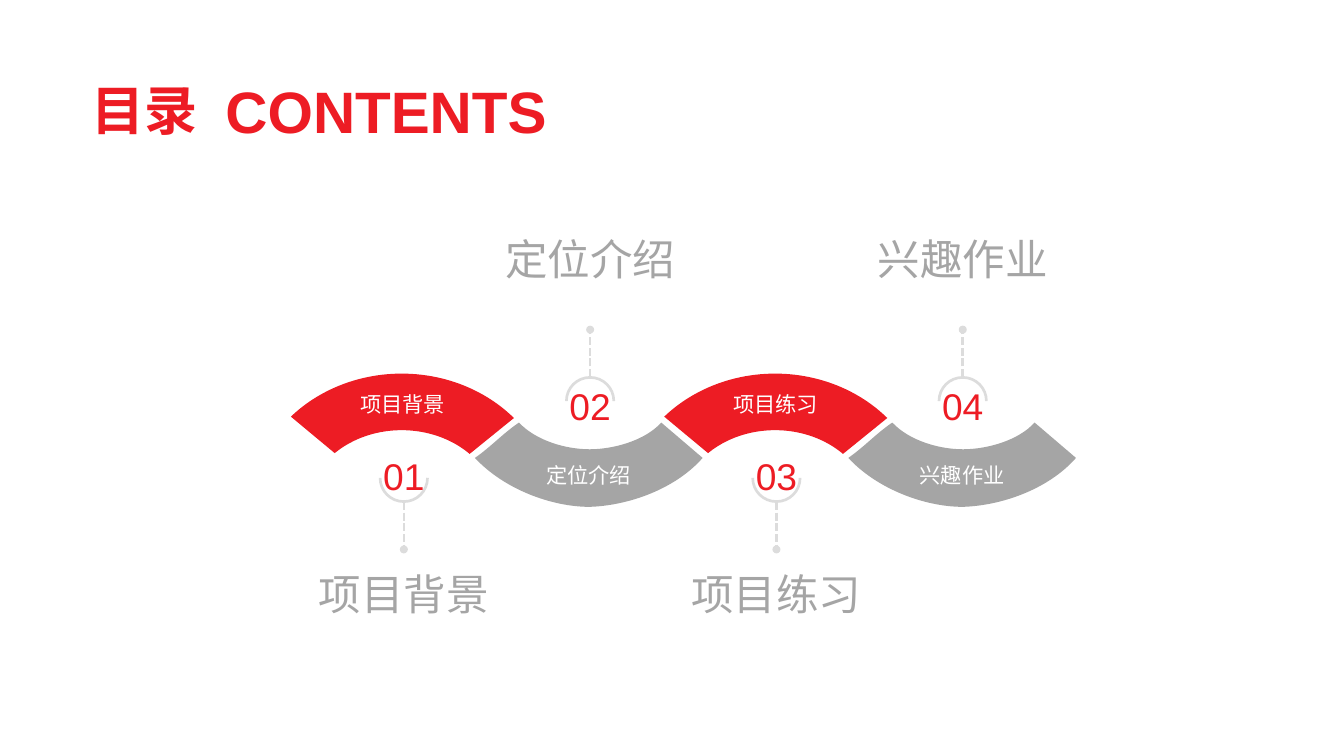
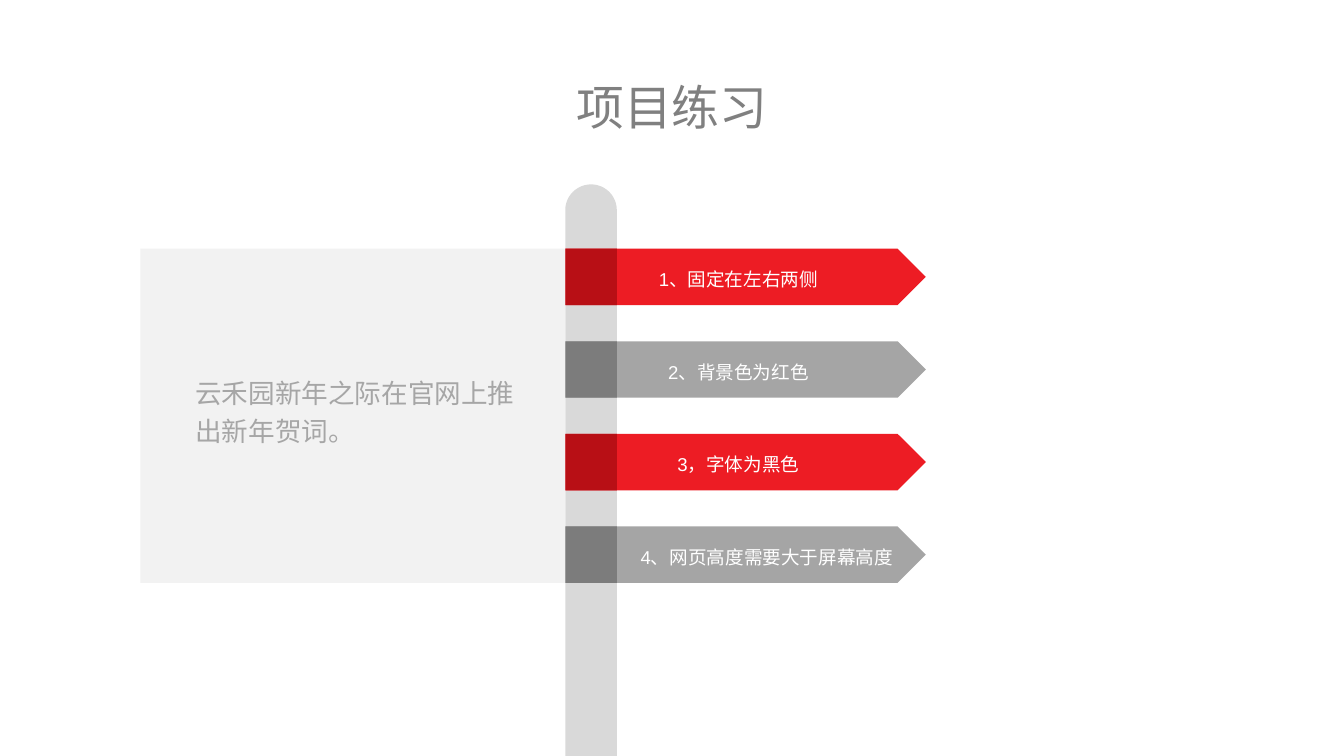
from lxml import etree
from pptx import Presentation
from pptx.dml.color import RGBColor
from pptx.enum.dml import MSO_LINE
from pptx.enum.shapes import MSO_CONNECTOR, MSO_SHAPE
from pptx.enum.text import MSO_ANCHOR, MSO_AUTO_SIZE, PP_ALIGN
from pptx.oxml.ns import qn
from pptx.util import Cm, Pt

COLORS = {
    "red": "ED1C24", "dark red": "B80F15", "gray": "A5A5A5",
    "dark gray": "7C7C7C", "title gray": "808080", "body gray": "A6A6A6",
    "line": "DCDCDC", "pole": "D9D9D9", "panel": "F2F2F2", "white": "FFFFFF",
}
FONT = "Arial"
LEFT, CENTER = PP_ALIGN.LEFT, PP_ALIGN.CENTER
TOP, MIDDLE = MSO_ANCHOR.TOP, MSO_ANCHOR.MIDDLE
FIT_SHAPE = MSO_AUTO_SIZE.SHAPE_TO_FIT_TEXT
DASH = MSO_LINE.SQUARE_DOT
STRAIGHT = MSO_CONNECTOR.STRAIGHT
ARC, ARROW = MSO_SHAPE.BLOCK_ARC, MSO_SHAPE.PENTAGON
RECTANGLE, ROUND_TOP = MSO_SHAPE.RECTANGLE, MSO_SHAPE.ROUND_2_SAME_RECTANGLE

NO_INSETS = (0, 0, 0, 0)
DEFAULT_INSETS = (0.25, 0.13, 0.25, 0.13)
CHAPTERS = ("项目背景", "定位介绍", "项目练习", "兴趣作业")
REQUIREMENTS = ("1、固定在左右两侧", "2、背景色为红色", "3，字体为黑色", "4、网页高度需要大于屏幕高度")
TROUGH_POINTS = (
    (1.93, 0), (3.03, 0.94),
    (2.29, 1.78), (1.04, 2.21), (0.02, 2.24),
    (-0.97, 2.24), (-2.24, 1.78), (-3.02, 0.94),
    (-2.59, 0.64), (-2.29, 0.3), (-1.85, 0),
    (-1.4, 0.48), (-0.61, 0.71), (0.03, 0.71),
    (0.66, 0.71), (1.5, 0.48), (1.93, 0),
)
RING_POINTS = ((0.63, 0), (0.63, 0.35), (0.35, 0.63), (0, 0.63),
               (-0.35, 0.63), (-0.63, 0.35), (-0.63, 0))


def rgb(name):
    """Return the palette colour with this name."""
    return RGBColor.from_string(COLORS[name])


def write(shape, text, size, color, align=CENTER, anchor=MIDDLE,
          insets=NO_INSETS, spacing=None, bold=False):
    """Put one formatted paragraph into a shape."""
    frame = shape.text_frame
    frame.word_wrap = True
    frame.vertical_anchor = anchor
    (frame.margin_left, frame.margin_top,
     frame.margin_right, frame.margin_bottom) = map(Cm, insets)
    frame.text = text
    paragraph = frame.paragraphs[0]
    paragraph.alignment = align
    if spacing:
        paragraph.line_spacing = spacing
    font = paragraph.runs[0].font
    font.name, font.size, font.bold = FONT, Pt(size), bold
    font.color.rgb = rgb(color)


def add_text(slide, box, text, size, color, **style):
    """Add a text box that grows with its text."""
    shape = slide.shapes.add_textbox(*map(Cm, box))
    write(shape, text, size, color, **style)
    shape.text_frame.auto_size = FIT_SHAPE


def paint(shape, color):
    """Give a shape a flat fill without outline or shadow."""
    shape.shadow.inherit = False
    shape.fill.solid()
    shape.fill.fore_color.rgb = rgb(color)
    shape.line.fill.background()


def add_block(slide, kind, box, color, adjustments=()):
    """Add a flat preset shape."""
    shape = slide.shapes.add_shape(kind, *map(Cm, box))
    for index, value in enumerate(adjustments):
        shape.adjustments[index] = value
    paint(shape, color)
    return shape


def add_curved_outline(slide, points, straight, close):
    """Add a freeform of straight segments followed by cubic curves."""
    first, *rest = [(Cm(x), Cm(y)) for x, y in points]
    builder = slide.shapes.build_freeform(*first)
    builder.add_line_segments(rest, close=close)
    shape = builder.convert_to_shape()
    segments = list(shape._element.iter(qn("a:lnTo")))[straight:]
    for start in range(0, len(segments), 3):
        curve = etree.Element(qn("a:cubicBezTo"))
        segments[start].addprevious(curve)
        for segment in segments[start:start + 3]:
            curve.append(segment[0])
            segment.getparent().remove(segment)
    return shape


def style_line(line):
    """Apply the pale marker line."""
    line.color.rgb = rgb("line")
    line.width = Pt(2)


def add_dashed_line(slide, x, start, end):
    """Add a vertical dashed line that ends in a dot."""
    connector = slide.shapes.add_connector(STRAIGHT, Cm(x), Cm(start), Cm(x), Cm(end))
    style_line(connector.line)
    connector.line.dash_style = DASH
    properties = connector._element.spPr
    etree.SubElement(properties.find(qn("a:ln")), qn("a:tailEnd"), type="oval")
    etree.SubElement(properties, qn("a:effectLst"))


def add_marker(slide, x, number, below):
    """Add a number with its half ring and dotted leader."""
    direction = 1 if below else -1
    center = 12.7 if below else 10.66
    ring = add_curved_outline(slide, [(x + dx, center + direction * dy)
                                      for dx, dy in RING_POINTS], straight=0, close=False)
    ring.shadow.inherit = False
    ring.fill.background()
    style_line(ring.line)
    add_dashed_line(slide, x, center + direction * 0.64, center + direction * 1.9)
    top = 12.27 if below else 10.41
    add_text(slide, (x - 0.61, top, 1.22, 0.97), f"{number:02d}", 28, "red", spacing=0.8)


def add_crest(slide, x, text):
    """Add a red upper arc of the wave."""
    crest = add_block(slide, ARC, (x - 4.03, 9.93, 8.05, 7.19), "red",
                      (131.867, 192.598, 0.209))
    write(crest, text, 16, "white", insets=(0, 0, 0, 0.53))


def add_trough(slide, x, text):
    """Add a gray lower arc of the wave."""
    trough = add_curved_outline(slide, [(x + dx, 11.23 + dy) for dx, dy in TROUGH_POINTS],
                                straight=1, close=True)
    paint(trough, "gray")
    write(trough, text, 16, "white", insets=(0, 0.53, 0, 0))


def build_contents(slide):
    """Build the table of contents."""
    for index, chapter in enumerate(CHAPTERS):
        below = index % 2 == 0
        add_band = add_crest if below else add_trough
        add_band(slide, 10.68 + index * 4.96, chapter)
        x = 10.73 + index * 4.95
        add_marker(slide, x, index + 1, below)
        add_text(slide, (x - 3.49, 15.09 if below else 6.2, 6.98, 1.37),
                 chapter, 32, "gray", anchor=TOP)
    add_text(slide, (2.44, 2.06, 3.18, 1.7), "目录", 40, "red", align=LEFT, bold=True)
    add_text(slide, (5.99, 1.99, 9.02, 1.88), "CONTENTS", 44, "red",
             align=LEFT, anchor=TOP, bold=True)


def add_requirement(slide, top, text, color, insets):
    """Add a signpost arrow with its dark end."""
    arrow = add_block(slide, ARROW, (15.02, top, 9.58, 1.5), color)
    write(arrow, text, 14, "white", insets=insets, spacing=1.2)
    add_block(slide, RECTANGLE, (15.02, top, 1.37, 1.5), "dark " + color)


def build_exercise(slide):
    """Build the signpost of requirements."""
    add_block(slide, ROUND_TOP, (15.02, 4.9, 1.37, 15.19), "pole", (0.5, 0))
    last = len(REQUIREMENTS) - 1
    for index, requirement in enumerate(REQUIREMENTS):
        insets = (1.76, 0.13, 0.25, 0.13) if index == last else DEFAULT_INSETS
        add_requirement(slide, 6.61 + index * 2.46, requirement,
                        ("red", "gray")[index % 2], insets)
    add_block(slide, RECTANGLE, (3.73, 6.61, 11.29, 8.88), "panel")
    add_text(slide, (4.94, 9.72, 9.09, 2.31), "云禾园新年之际在官网上推出新年贺词。", 20,
             "body gray", align=LEFT, anchor=TOP, insets=DEFAULT_INSETS, spacing=1.2)
    add_text(slide, (14.64, 2.04, 6.43, 1.55), CHAPTERS[2], 36, "title gray")


def main():
    """Build and save the presentation."""
    presentation = Presentation()
    presentation.slide_width, presentation.slide_height = Cm(35.71), Cm(20.09)
    blank = presentation.slide_layouts[6]
    for build in (build_contents, build_exercise):
        build(presentation.slides.add_slide(blank))
    presentation.save("out.pptx")


main()
